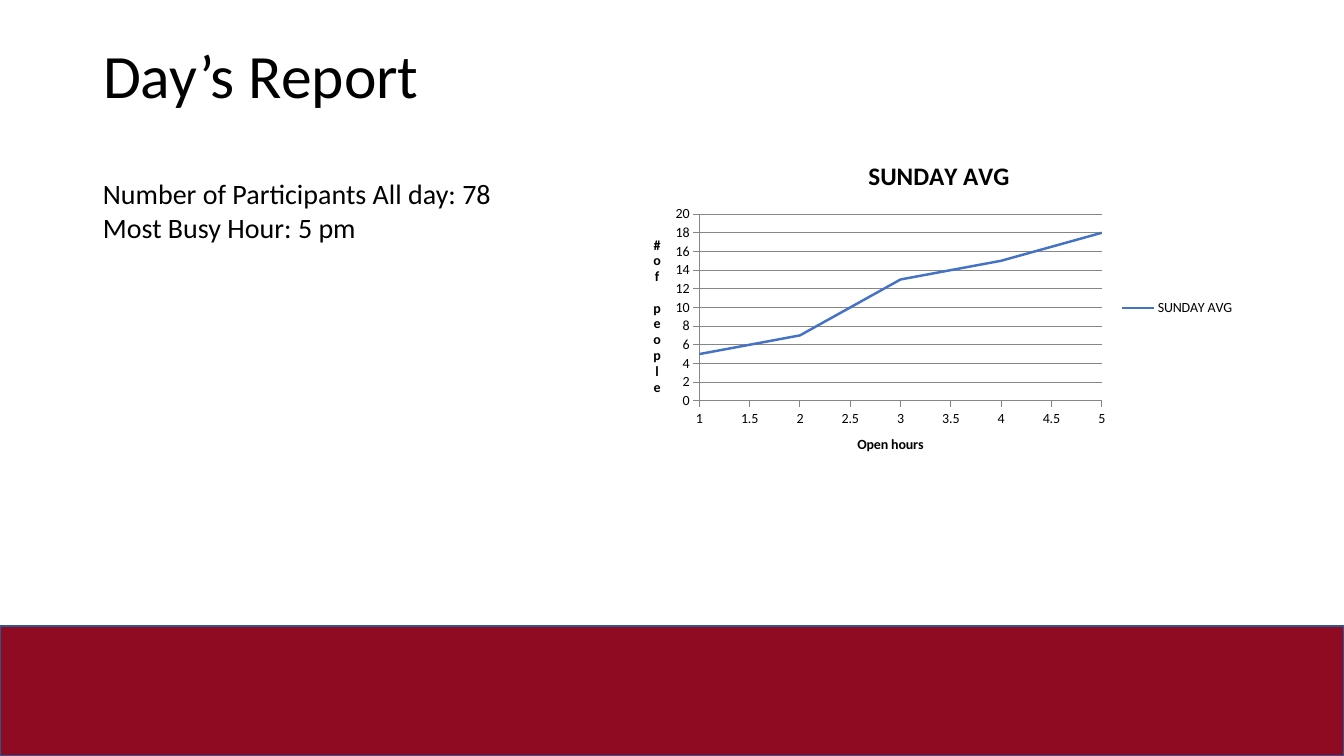
from pptx import Presentation
from pptx.chart.data import XyChartData
from pptx.dml.color import RGBColor
from pptx.enum.chart import XL_CHART_TYPE as Kind, XL_LEGEND_POSITION as Side, XL_TICK_MARK as Tick
from pptx.enum.shapes import MSO_SHAPE as Shape
from pptx.enum.text import MSO_ANCHOR as Anchor
from pptx.util import Pt

# Content
TITLE = "Day’s Report"
FACTS = ["Number of Participants All day: 78", "Most Busy Hour: 5 pm"]
NAME = "SUNDAY AVG"
HOURS = [1, 2, 3, 4, 5, 6]
PEOPLE = [5, 7, 13, 15, 18, 20]
# title, low, high, step
X_AXIS = ("Open hours", 1, 5, 0.5)
Y_AXIS = ("#of people", 0, 20, 2)

# Places in pixels: left, top, width, height
WIDE, HIGH = 1344, 756
BAND = (0, 626, WIDE, 130)
HEAD = (93, 40, 1159, 146)
NOTE = (93, 172, 464, 109)
PLOT = (633, 142, 612, 332)

FONT = "Calibri"
BLACK = RGBColor(0, 0, 0)
RED = RGBColor(0x8F, 0x0B, 0x21)
NAVY = RGBColor(0x32, 0x54, 0x91)
BLUE = RGBColor(0x44, 0x72, 0xC4)
GREY = RGBColor(0x86, 0x86, 0x86)


def emu(*spots):
    return [round(spot * 914400 / 100.8) for spot in spots]


def style(font, size, bold=False):
    font.name, font.size, font.bold = FONT, Pt(size), bold
    font.color.rgb = BLACK


def label(owner, text, size):
    frame = owner.text_frame
    frame.text = text
    style(frame.paragraphs[0].runs[0].font, size, True)
    return frame


def set_axis(axis, text, low, high, step):
    axis.minimum_scale, axis.maximum_scale, axis.major_unit = low, high, step
    axis.major_tick_mark, axis.minor_tick_mark = Tick.OUTSIDE, Tick.NONE
    axis.format.line.color.rgb = GREY
    style(axis.tick_labels.font, 10)
    axis.tick_labels.number_format = "General"
    axis.tick_labels.number_format_is_linked = False
    return label(axis.axis_title, text, 10)


deck = Presentation()
deck.slide_width, deck.slide_height = emu(WIDE, HIGH)
slide = deck.slides.add_slide(deck.slide_layouts[5])
shapes = slide.shapes

# Red footer band, behind the rest
band = shapes.add_shape(Shape.RECTANGLE, *emu(*BAND))
band.shadow.inherit = False
band.fill.solid()
band.fill.fore_color.rgb = RED
band.line.color.rgb = NAVY
band.line.width = Pt(1)
shapes.title._element.addprevious(band._element)

# Title and facts
head = shapes.title
note = shapes.add_textbox(*emu(*NOTE))
head.left, head.top, head.width, head.height = emu(*HEAD)
for box, lines, size in ((head, [TITLE], 44), (note, FACTS, 20)):
    frame = box.text_frame
    frame.text = "\n".join(lines)
    frame.word_wrap = True
    frame.vertical_anchor = Anchor.TOP
    for par in frame.paragraphs:
        par.alignment = 1
        style(par.runs[0].font, size)
head.text_frame.paragraphs[0].line_spacing = 0.9

# Smooth scatter chart
data = XyChartData()
series = data.add_series(NAME)
for hour, count in zip(HOURS, PEOPLE):
    series.add_data_point(hour, count)
chart = shapes.add_chart(Kind.XY_SCATTER_SMOOTH_NO_MARKERS, *emu(*PLOT), data).chart
style(chart.font, 10)
chart.has_title = True
label(chart.chart_title, NAME, 18)
chart.has_legend = True
chart.legend.position = Side.RIGHT
chart.legend.include_in_layout = False
style(chart.legend.font, 10)
chart.plots[0].vary_by_categories = False
curve = chart.plots[0].series[0]
curve.smooth = True
curve.format.line.color.rgb = BLUE
curve.format.line.width = Pt(1.75)

# Axes, with the upright title stacked letter by letter
set_axis(chart.category_axis, *X_AXIS)
chart.category_axis.has_major_gridlines = False
stack = set_axis(chart.value_axis, *Y_AXIS)
body = stack._txBody.bodyPr
body.set("rot", "0")
body.set("vert", "wordArtVert")
chart.value_axis.has_major_gridlines = True
chart.value_axis.major_gridlines.format.line.color.rgb = GREY

deck.save("out.pptx")
